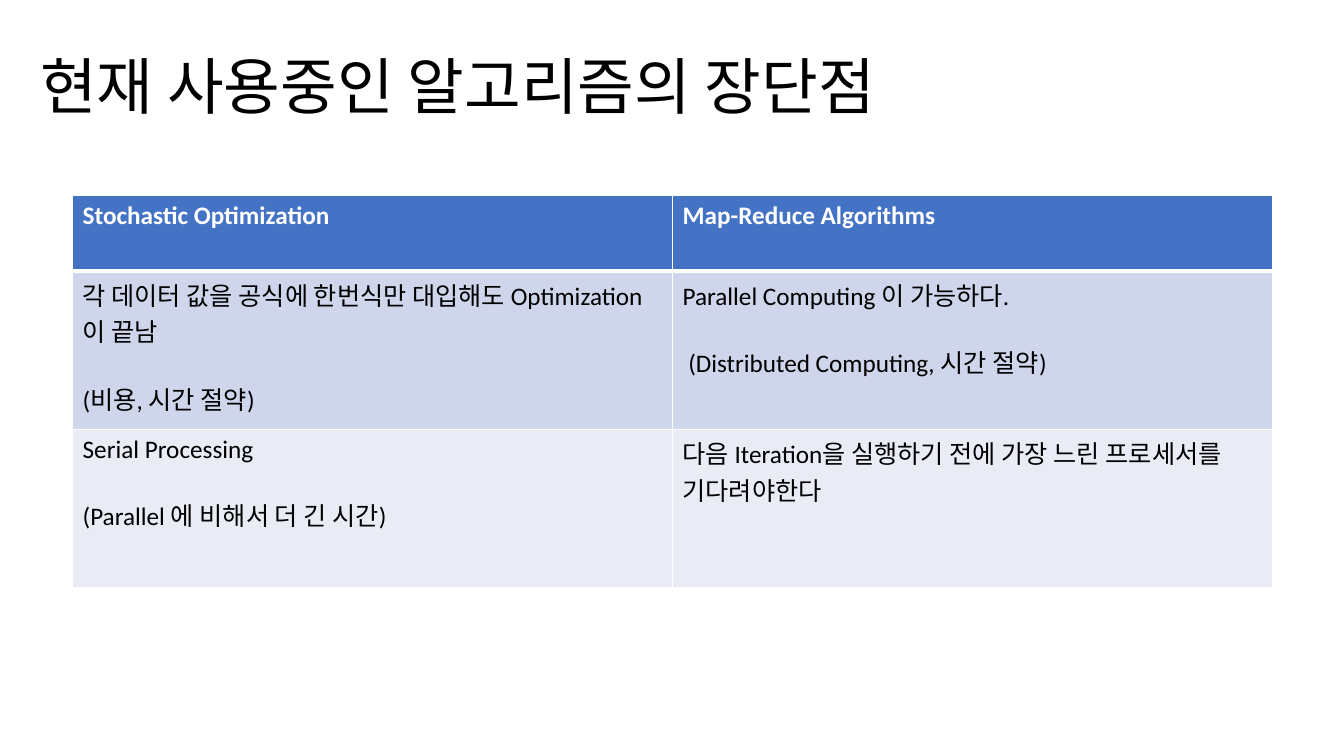
from lxml.etree import SubElement
from pptx import Presentation
from pptx.dml.color import RGBColor
from pptx.enum.text import MSO_ANCHOR
from pptx.oxml.ns import qn
from pptx.util import Inches, Pt

# Content
TITLE = "현재 사용중인 알고리즘의 장단점"
COMPARISON = [
    [["Stochastic Optimization"], ["Map-Reduce Algorithms"]],
    [["각 데이터 값을 공식에 한번식만 대입해도 Optimization 이 끝남", "(비용, 시간 절약)"],
     ["Parallel Computing 이 가능하다.", " (Distributed Computing, 시간 절약)"]],
    [["Serial Processing", "(Parallel 에 비해서 더 긴 시간)"],
     ["다음 Iteration을 실행하기 전에 가장 느린 프로세서를 기다려야한다 "]],
]
ROW_HEIGHTS = [0.75, 1.57, 1.57]
ROW_FILLS = ["4472C4", "CFD5EA", "E9EBF5"]
COLUMN_WIDTH = 5.95


def color(hex_value):
    return RGBColor.from_string(hex_value)


def write(frame, lines, size=18, ink="000000", bold=False, gap=0, spacing=None):
    frame.word_wrap = True
    for i, line in enumerate(lines):
        paragraph = frame.paragraphs[0] if i == 0 else frame.add_paragraph()
        paragraph.line_spacing = spacing
        if i:
            paragraph.space_before = Pt(gap)
        run = paragraph.add_run()
        run.text = line
        run.font.name = "Calibri"
        run.font.size = Pt(size)
        run.font.bold = bold
        run.font.color.rgb = color(ink)


def add_borders(cell, widths, ink="FFFFFF"):
    """Widths in points: left, right, top, bottom; call before filling."""
    properties = cell._tc.get_or_add_tcPr()
    for side, width in zip("LRTB", widths):
        line = SubElement(properties, qn(f"a:ln{side}"), w=str(Pt(width)))
        SubElement(SubElement(line, qn("a:solidFill")), qn("a:srgbClr"), val=ink)


deck = Presentation()
deck.slide_width, deck.slide_height = Inches(13.33), Inches(7.5)
slide = deck.slides.add_slide(deck.slide_layouts[6])

# Title
heading = slide.shapes.add_textbox(Inches(0.3), Inches(0.16), Inches(11.5), Inches(1.45))
heading.text_frame.vertical_anchor = MSO_ANCHOR.MIDDLE
write(heading.text_frame, [TITLE], size=44, spacing=0.9)

# Comparison table
comparison = slide.shapes.add_table(
    len(COMPARISON), len(COMPARISON[0]), Inches(0.72), Inches(1.94),
    Inches(2 * COLUMN_WIDTH), Inches(sum(ROW_HEIGHTS))).table
for column in comparison.columns:
    column.width = Inches(COLUMN_WIDTH)
for r, (row, height, fill) in enumerate(zip(COMPARISON, ROW_HEIGHTS, ROW_FILLS)):
    comparison.rows[r].height = Inches(height)
    header = r == 0
    for c, lines in enumerate(row):
        cell = comparison.cell(r, c)
        add_borders(cell, (1, 1, 3 if r == 1 else 1, 3 if header else 1))
        cell.fill.solid()
        cell.fill.fore_color.rgb = color(fill)
        write(cell.text_frame, lines, gap=22, bold=header,
              ink="FFFFFF" if header else "000000")

deck.save("out.pptx")
